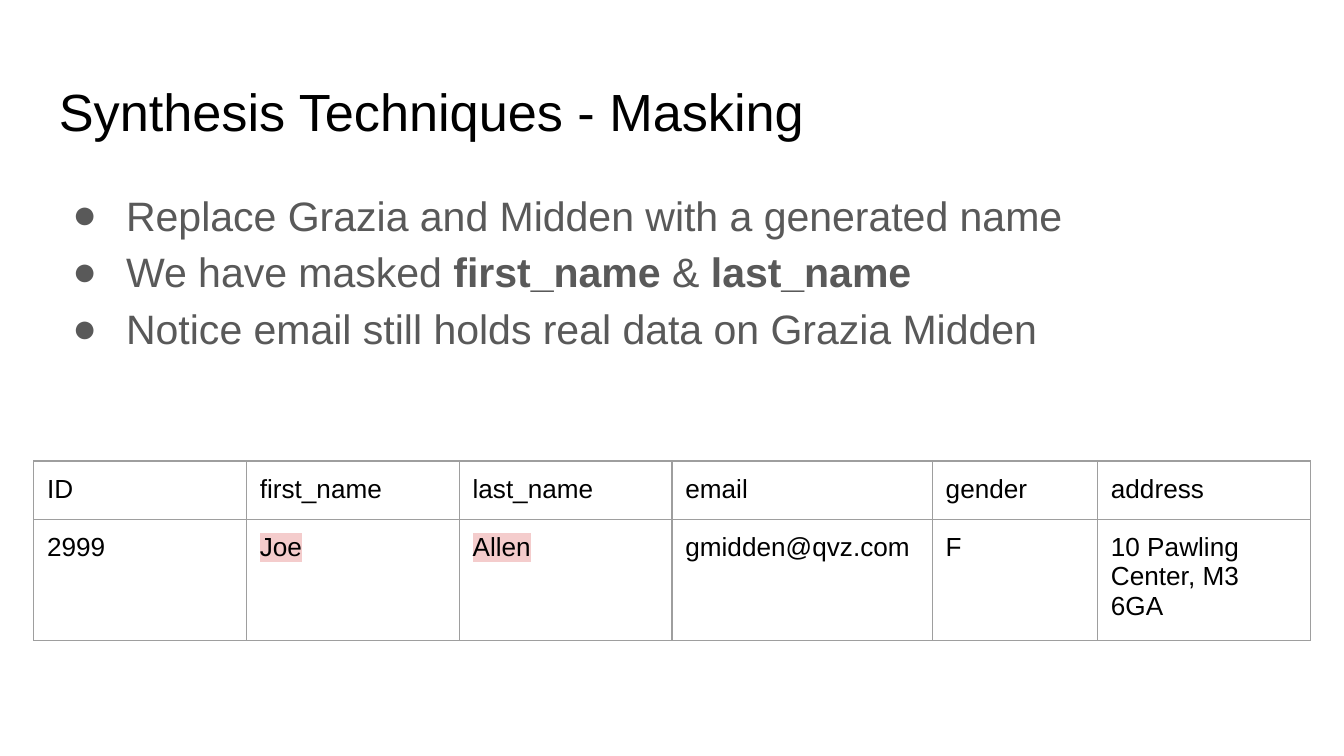
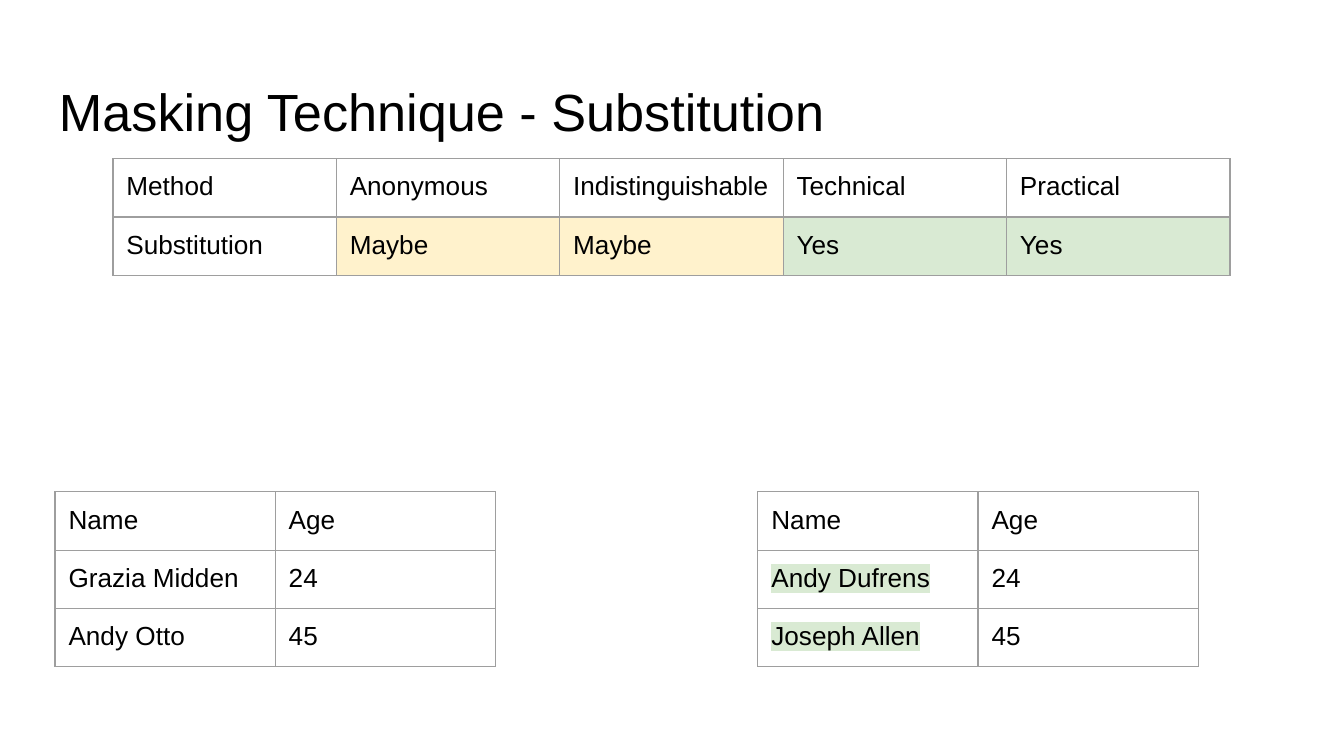
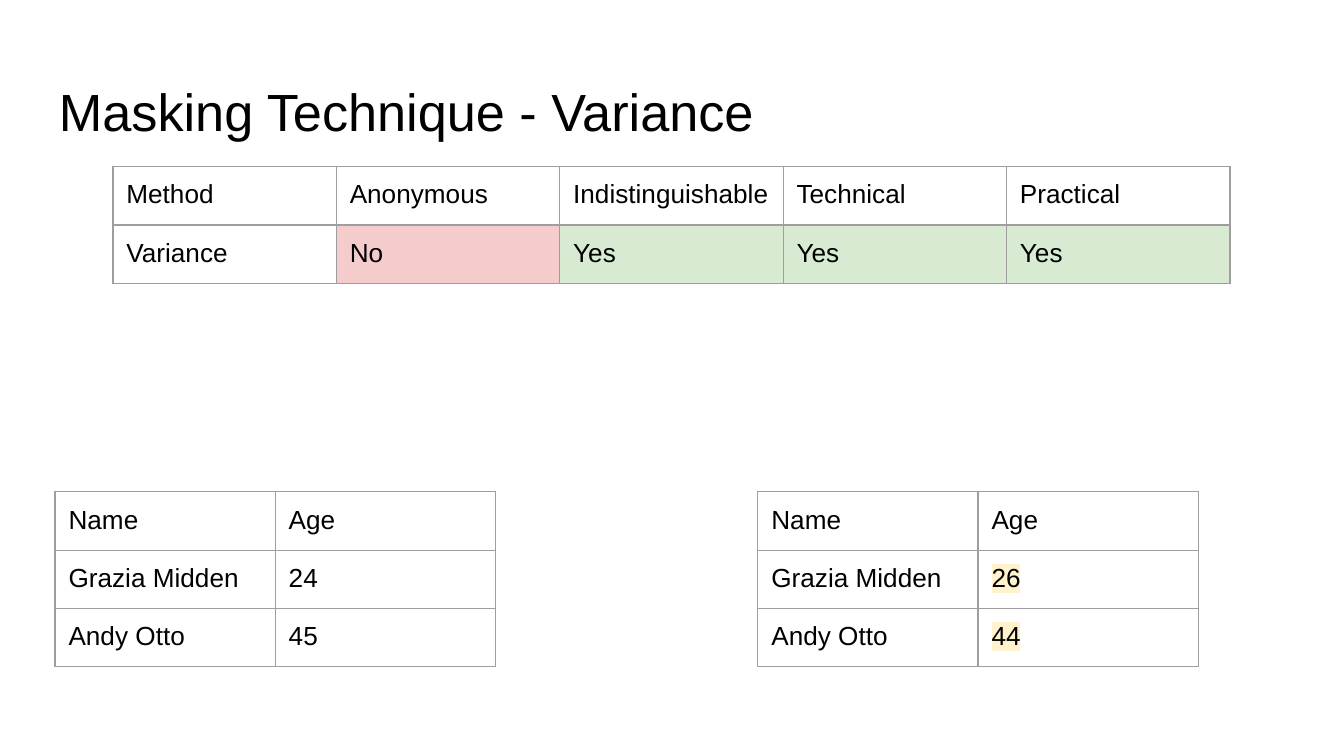
from lxml.etree import SubElement
from pptx import Presentation
from pptx.dml.color import RGBColor
from pptx.oxml.ns import qn
from pptx.util import Pt

# Shared look
FONT = "Arial"
BLACK, GREY, RULE = "000000", "595959", "9E9E9E"
RED, YELLOW, GREEN = "F4CCCC", "FFF2CC", "D9EAD3"
INSET = 7.2
LEFT, TEXT_WIDTH = 24.5, 671
TITLE_TOP, TITLE_HEIGHT = 35.3, 45.1
BULLETS_TOP, BULLETS_HEIGHT = 90.7, 269
ROW_HEIGHT = 30
PEOPLE_TOP, PEOPLE_COLUMNS = 263.5, [118] * 2
BEFORE_LEFT, AFTER_LEFT = 29.5, 406
METHOD_LEFT, METHOD_COLUMNS = 60.5, [119.7] * 5

# Content: a cell is plain text or (text, colour); a bullet is (text, bold) runs
MASKING_TITLE = "Synthesis Techniques - Masking"
MASKING_BULLETS = [
    [("Replace Grazia and Midden with a generated name", False)],
    [("We have masked ", False), ("first_name", True), (" & ", False), ("last_name", True)],
    [("Notice email still holds real data on Grazia Midden", False)],
]
MASKED_RECORD = [
    ["ID", "first_name", "last_name", "email", "gender", "address"],
    ["2999", ("Joe", RED), ("Allen", RED), "gmidden@qvz.com", "F", "10 Pawling Center, M3 6GA"],
]
RECORD_COLUMNS = [114, 114, 114, 139.5, 88.5, 114]

METHOD_HEADER = ["Method", "Anonymous", "Indistinguishable", "Technical", "Practical"]
PEOPLE_HEADER = ["Name", "Age"]
REAL_PEOPLE = [["Grazia Midden", "24"], ["Andy Otto", "45"]]
TECHNIQUES = [
    {
        "name": "Substitution",
        "top": 85,
        "ratings": [("Maybe", YELLOW), ("Maybe", YELLOW), ("Yes", GREEN), ("Yes", GREEN)],
        "masked": [[("Andy Dufrens", GREEN), "24"], [("Joseph Allen", GREEN), "45"]],
    },
    {
        "name": "Variance",
        "top": 89.3,
        "ratings": [("No", RED), ("Yes", GREEN), ("Yes", GREEN), ("Yes", GREEN)],
        "masked": [["Grazia Midden", ("26", YELLOW)], ["Andy Otto", ("44", YELLOW)]],
    },
]


def rgb(value):
    return RGBColor.from_string(value)


def set_insets(target):
    for side in ("left", "top", "right", "bottom"):
        setattr(target, f"margin_{side}", Pt(INSET))


def add_run(paragraph, text, size, color, bold=False, highlight=None):
    run = paragraph.add_run()
    run.text = text
    for attribute, value in {"name": FONT, "size": Pt(size), "bold": bold}.items():
        setattr(run.font, attribute, value)
    run.font.color.rgb = rgb(color)
    if highlight:
        properties = run.font._element
        mark = SubElement(properties, qn("a:highlight"))
        SubElement(mark, qn("a:srgbClr"), val=highlight)
        properties.find(qn("a:solidFill")).addnext(mark)


def add_frame(slide, top, height):
    frame = slide.shapes.add_textbox(Pt(LEFT), Pt(top), Pt(TEXT_WIDTH), Pt(height)).text_frame
    frame.word_wrap = True
    set_insets(frame)
    return frame


def add_titled_slide(deck, title):
    slide = deck.slides.add_slide(deck.slide_layouts[6])
    frame = add_frame(slide, TITLE_TOP, TITLE_HEIGHT)
    add_run(frame.paragraphs[0], title, 28, BLACK)
    return slide


def add_bullets(slide, bullets):
    frame = add_frame(slide, BULLETS_TOP, BULLETS_HEIGHT)
    for index, runs in enumerate(bullets):
        paragraph = frame.add_paragraph() if index else frame.paragraphs[0]
        properties = paragraph._p.get_or_add_pPr()
        properties.set("marL", str(Pt(36)))
        properties.set("indent", str(Pt(-28.8)))
        SubElement(SubElement(properties, qn("a:buClr")), qn("a:srgbClr"), val=GREY)
        SubElement(properties, qn("a:buFont"), typeface=FONT)
        SubElement(properties, qn("a:buChar"), char="●")
        paragraph.line_spacing = 1.15
        for text, bold in runs:
            add_run(paragraph, text, 22, GREY, bold)


def set_cell_format(cell, fill):
    set_insets(cell)
    properties = cell._tc.get_or_add_tcPr()
    for side in ("lnL", "lnR", "lnT", "lnB"):
        line = SubElement(properties, qn(f"a:{side}"), w=str(Pt(0.75)))
        SubElement(SubElement(line, qn("a:solidFill")), qn("a:srgbClr"), val=RULE)
    if fill:
        cell.fill.solid()
        cell.fill.fore_color.rgb = rgb(fill)
    else:
        cell.fill.background()


def add_grid(slide, left, top, columns, rows, filled=False):
    """Cell colours fill the whole cell if filled, otherwise highlight its text."""
    table = slide.shapes.add_table(
        len(rows), len(columns), Pt(left), Pt(top),
        Pt(sum(columns)), Pt(ROW_HEIGHT * len(rows)),
    ).table
    table.first_row = table.horz_banding = False
    for column, width in zip(table.columns, columns):
        column.width = Pt(width)
    for r, row in enumerate(rows):
        for c, entry in enumerate(row):
            text, color = entry if isinstance(entry, tuple) else (entry, None)
            cell = table.cell(r, c)
            set_cell_format(cell, color if filled else None)
            add_run(cell.text_frame.paragraphs[0], text, 14, BLACK,
                    highlight=None if filled else color)
    return table


def main():
    deck = Presentation()
    deck.slide_width, deck.slide_height = Pt(720), Pt(405)

    # Masked record
    masking = add_titled_slide(deck, MASKING_TITLE)
    add_bullets(masking, MASKING_BULLETS)
    add_grid(masking, 18, 247, RECORD_COLUMNS, MASKED_RECORD)

    # One slide per technique: people before and after, then its ratings
    for technique in TECHNIQUES:
        slide = add_titled_slide(deck, f"Masking Technique - {technique['name']}")
        for left, people in ((BEFORE_LEFT, REAL_PEOPLE), (AFTER_LEFT, technique["masked"])):
            add_grid(slide, left, PEOPLE_TOP, PEOPLE_COLUMNS, [PEOPLE_HEADER] + people)
        ratings = add_grid(
            slide, METHOD_LEFT, technique["top"], METHOD_COLUMNS,
            [METHOD_HEADER, [technique["name"]] + technique["ratings"]], filled=True,
        )
        ratings.rows[1].height = Pt(31)

    deck.save("out.pptx")


if __name__ == "__main__":
    main()
